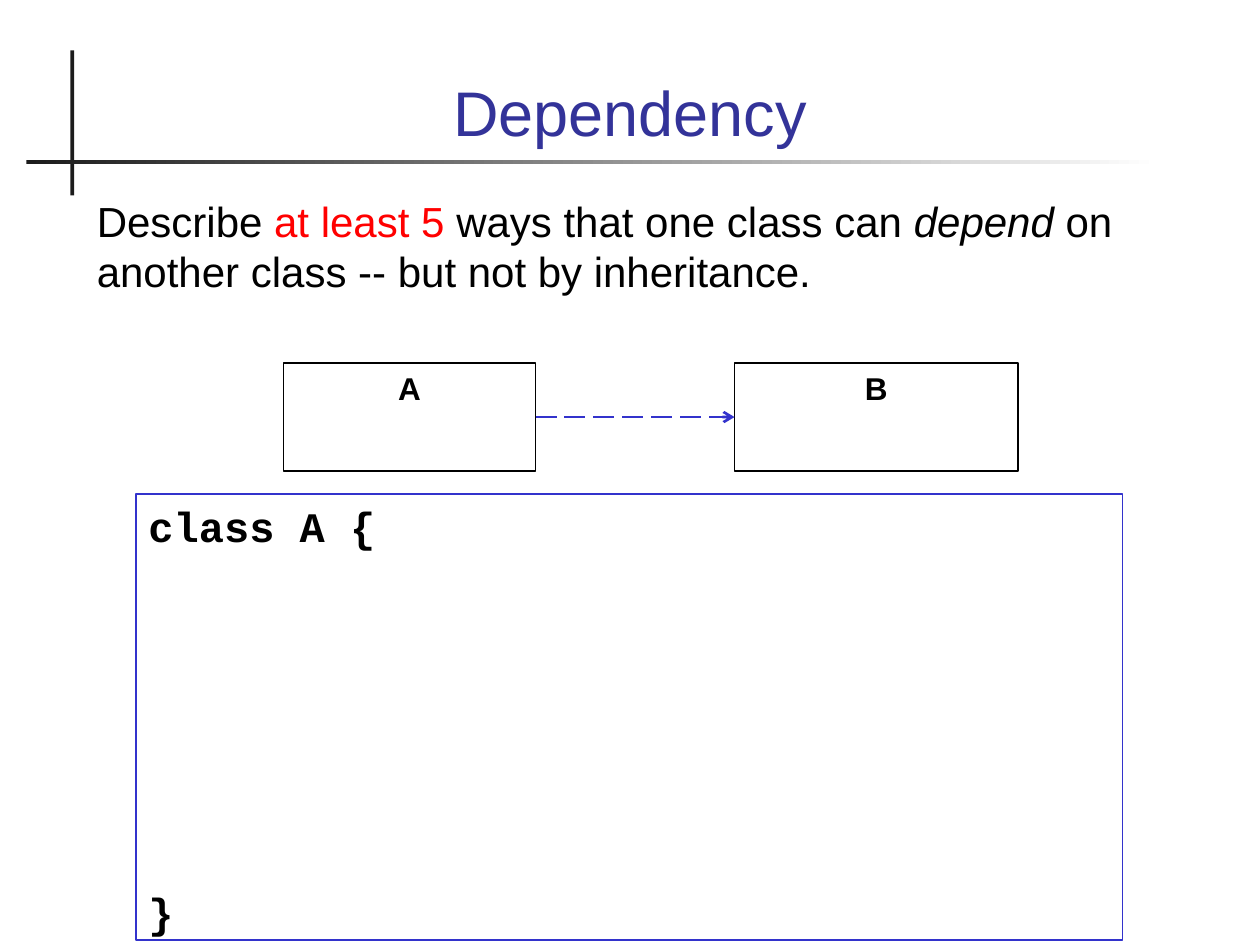
from pptx import Presentation
from pptx.dml.color import RGBColor
from pptx.enum.dml import MSO_LINE
from pptx.enum.shapes import MSO_CONNECTOR, MSO_SHAPE
from pptx.enum.text import MSO_ANCHOR, PP_ALIGN
from pptx.oxml.ns import qn
from pptx.util import Inches, Pt
from lxml.etree import SubElement

BLACK = RGBColor(0x00, 0x00, 0x00)
WHITE = RGBColor(0xFF, 0xFF, 0xFF)
CHARCOAL = RGBColor(0x1C, 0x1C, 0x1C)
NAVY = RGBColor(0x33, 0x33, 0x99)
BLUE = RGBColor(0x33, 0x33, 0xCC)
RED = RGBColor(0xFF, 0x00, 0x00)

TITLE = {"size": Pt(36), "name": "Arial", "color": NAVY}
BODY = {"size": Pt(24), "name": "Arial", "color": BLACK}
CLASS_NAME = {"size": Pt(18), "name": "Arial", "color": BLACK, "bold": True}
CODE = {"size": Pt(24), "name": "Courier New", "color": BLACK, "bold": True}


class SlideBuilder:
    def __init__(self, deck):
        self.page = deck.slides.add_slide(deck.slide_layouts[6])

    def rule(self, bounds, *colors):
        bar = self.page.shapes.add_shape(MSO_SHAPE.RECTANGLE, *map(Inches, bounds))
        bar.shadow.inherit = False
        bar.line.fill.background()
        if len(colors) == 1:
            bar.fill.solid()
            bar.fill.fore_color.rgb = colors[0]
        else:
            bar.fill.gradient()
            bar.fill.gradient_angle = 0
            for stop, color in zip(bar.fill.gradient_stops, colors):
                stop.color.rgb = color

    def fill_text(self, box, paragraphs, style, align=PP_ALIGN.LEFT, anchor=MSO_ANCHOR.TOP, gap=0):
        frame = box.text_frame
        frame.word_wrap = True
        frame.vertical_anchor = anchor
        for index, spans in enumerate(paragraphs):
            para = frame.add_paragraph() if index else frame.paragraphs[0]
            para.alignment = align
            para.space_before = Pt(gap if index else 0)
            for text, changes in spans:
                span = para.add_run()
                span.text = text
                for key, value in {**style, **changes}.items():
                    if key == "color":
                        span.font.color.rgb = value
                    else:
                        setattr(span.font, key, value)

    def text(self, bounds, paragraphs, style, **layout):
        box = self.page.shapes.add_textbox(*map(Inches, bounds))
        self.fill_text(box, paragraphs, style, **layout)

    def outlined_box(self, bounds, color, weight, paragraphs, style, **layout):
        box = self.page.shapes.add_shape(MSO_SHAPE.RECTANGLE, *map(Inches, bounds))
        box.shadow.inherit = False
        box.fill.background()
        box.line.color.rgb = color
        box.line.width = Pt(weight)
        self.fill_text(box, paragraphs, style, **layout)
        return box

    def dependency(self, source, target):
        arrow = self.page.shapes.add_connector(MSO_CONNECTOR.STRAIGHT, 0, 0, 0, 0)
        arrow.begin_connect(source, 3)
        arrow.end_connect(target, 1)
        formats = {"width": Pt(1.5), "dash_style": MSO_LINE.LONG_DASH}
        for key, value in formats.items():
            setattr(arrow.line, key, value)
        arrow.line.color.rgb = BLUE
        SubElement(arrow.line._get_or_add_ln(), qn("a:tailEnd"), type="arrow")
        SubElement(arrow._element.spPr, qn("a:effectLst"))


def main():
    deck = Presentation()
    deck.slide_width, deck.slide_height = Inches(10), Inches(7.5)
    slide = SlideBuilder(deck)

    slide.rule((0.56, 0.4, 0.03, 1.15), CHARCOAL)
    slide.rule((0.21, 1.27, 8.99, 0.03), CHARCOAL, WHITE)
    slide.text((0.67, 0.28, 8.66, 0.95), [[("Dependency", {})]], TITLE,
               align=PP_ALIGN.CENTER, anchor=MSO_ANCHOR.BOTTOM)
    question = [
        ("Describe ", {}),
        ("at least 5", {"color": RED}),
        (" ways that one class can ", {}),
        ("depend", {"italic": True}),
        (" on another class -- but not by inheritance.", {}),
    ]
    slide.text((0.67, 1.5, 8.66, 1.25), [question], BODY)

    class_a, class_b = [
        slide.outlined_box((left, 2.88, width, 0.86), BLACK, 1, [[(name, {})]],
                           CLASS_NAME, align=PP_ALIGN.CENTER)
        for name, left, width in (("A", 2.25, 2), ("B", 5.83, 2.25))
    ]
    slide.dependency(class_a, class_b)
    slide.outlined_box((1.08, 3.92, 7.83, 3.54), BLUE, 0.75,
                       [[("class A {", {})], [("}", {})]], CODE, gap=192)

    deck.save("out.pptx")


if __name__ == "__main__":
    main()
